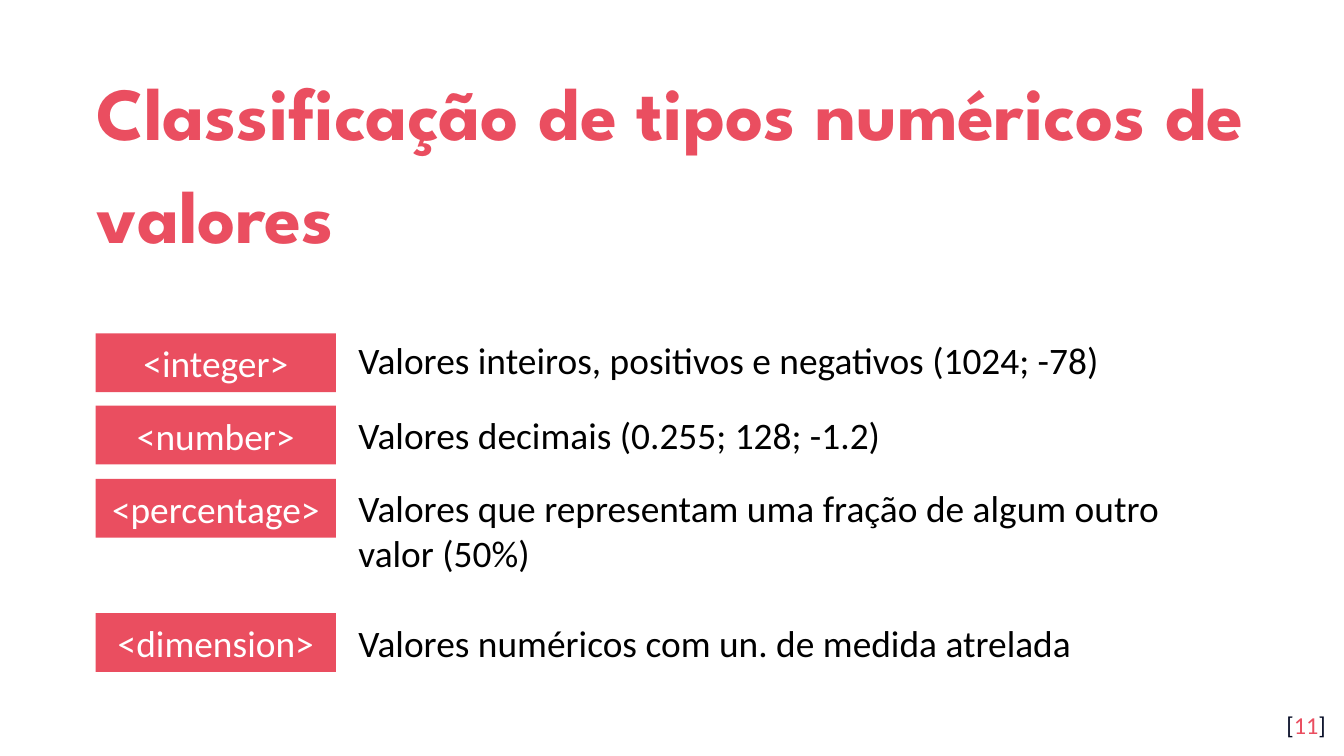
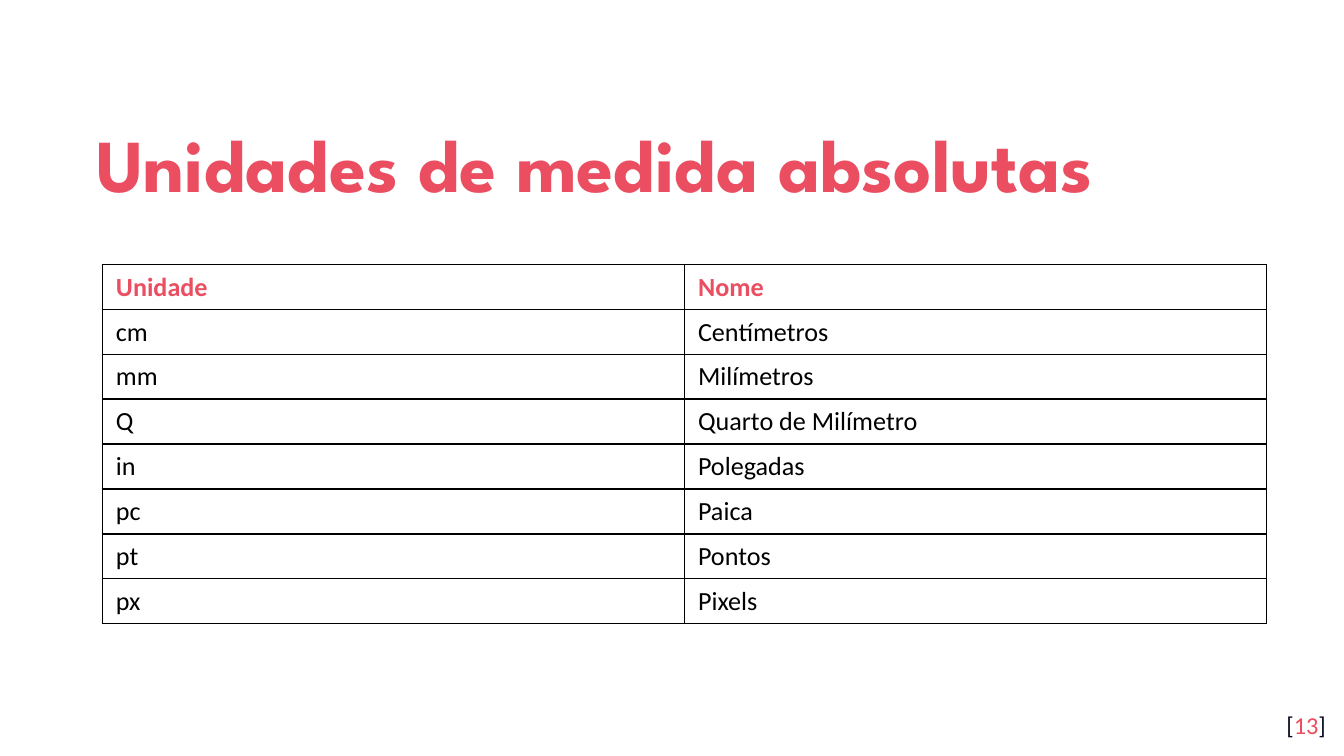
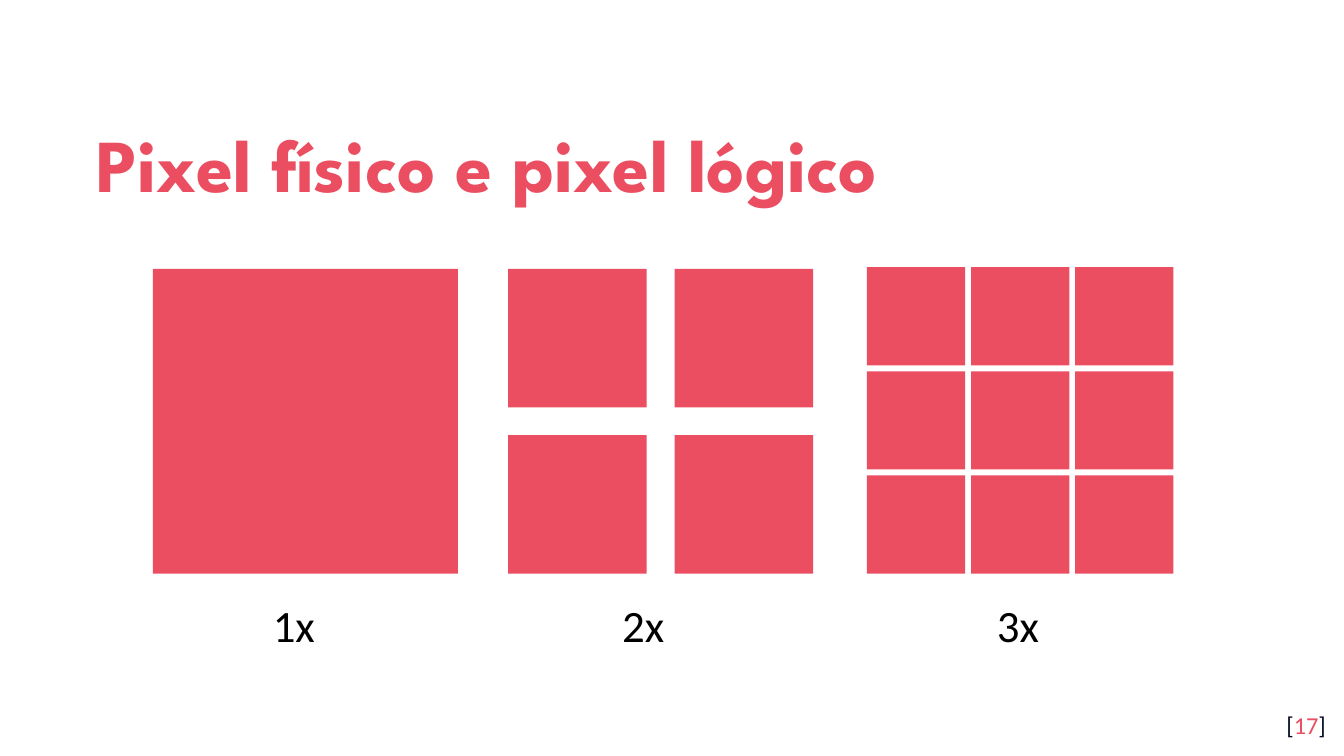
from lxml import etree
from pptx import Presentation
from pptx.dml.color import RGBColor
from pptx.enum.shapes import MSO_SHAPE
from pptx.enum.text import MSO_ANCHOR, MSO_AUTO_SIZE, PP_ALIGN
from pptx.oxml.ns import qn
from pptx.util import Pt

RECTANGLE = MSO_SHAPE.RECTANGLE
MIDDLE = MSO_ANCHOR.MIDDLE
TOP = MSO_ANCHOR.TOP
LEFT, CENTER, RIGHT = PP_ALIGN.LEFT, PP_ALIGN.CENTER, PP_ALIGN.RIGHT
GROW = MSO_AUTO_SIZE.SHAPE_TO_FIT_TEXT

PX = 5715  # EMU per px: the slide is 1600 by 900 px
INSET = 16 * PX
CORAL, NAVY, BLACK, WHITE = "EA4E60", "040A24", "000000", "FFFFFF"
TITLE_FONT, BODY_FONT = "League Spartan", "Calibri"
color = RGBColor.from_string


def add_block(slide, left, top, width, height):
    """Add a plain coral rectangle."""
    block = slide.shapes.add_shape(
        RECTANGLE, left * PX, top * PX, width * PX, height * PX)
    block.shadow.inherit = False
    block.fill.solid()
    block.fill.fore_color.rgb = color(CORAL)
    block.line.fill.background()
    return block


def write(shape, runs, size, font=BODY_FONT, bold=False, align=LEFT,
          anchor=TOP, inset=None, grow=False):
    """Fill a shape with one paragraph of (text, colour) runs."""
    frame = shape.text_frame
    frame.word_wrap = True
    frame.vertical_anchor = anchor
    if inset is not None:
        frame.margin_left = frame.margin_right = inset
        frame.margin_top = frame.margin_bottom = inset
    if grow:
        frame.auto_size = GROW
    paragraph = frame.paragraphs[0]
    paragraph.alignment = align
    paragraph.font.name = font
    paragraph.font.size = Pt(size)
    paragraph.font.bold = bold
    for text, run_color in runs:
        run = paragraph.add_run()
        run.text = text
        run.font.color.rgb = color(run_color)
    return paragraph


presentation = Presentation()
presentation.slide_width = 1600 * PX
presentation.slide_height = 900 * PX
blank_layout = presentation.slide_layouts[6]

# Title and page number of every slide
slides = []
for title, page in [
    ("Classificação de tipos numéricos de valores", "11"),
    ("Unidades de medida absolutas", "13"),
    ("Pixel físico e pixel lógico", "17"),
]:
    slide = presentation.slides.add_slide(blank_layout)
    title_box = slide.shapes.add_textbox(99 * PX, 112 * PX, 1403 * PX, 147 * PX)
    title_paragraph = write(title_box, [(title, CORAL)], 40, TITLE_FONT,
                            bold=True, anchor=MIDDLE, inset=INSET)
    title_paragraph.line_spacing = 1.15
    page_box = slide.shapes.add_textbox(1498 * PX, 830 * PX, 96 * PX, 69 * PX)
    write(page_box, [("[", NAVY), (page, CORAL), ("]", NAVY)], 13,
          align=RIGHT, inset=INSET)
    slides.append(slide)
types_slide, units_slide, pixels_slide = slides

# Numeric types: tag and description
for tag, description, tag_top, description_top, description_height in [
    ("<integer>", "Valores inteiros, positivos e negativos (1024; -78)", 397, 394, 70),
    ("<number>", "Valores decimais (0.255; 128; -1.2)", 483, 483, 70),
    ("<percentage>", "Valores que representam uma fração de algum outro valor (50%)",
     570, 570, 123),
    ("<dimension>", "Valores numéricos com un. de medida atrelada", 730, 730, 70),
]:
    tag_block = add_block(types_slide, 114, tag_top, 286, 70)
    write(tag_block, [(tag, WHITE)], 20, align=CENTER, anchor=MIDDLE, inset=INSET)
    description_box = types_slide.shapes.add_textbox(
        411 * PX, description_top * PX, 1058 * PX, description_height * PX)
    write(description_box, [(description, BLACK)], 20, grow=True)

# Absolute units
units = [
    ("Unidade", "Nome"),
    ("cm", "Centímetros"),
    ("mm", "Milímetros"),
    ("Q", "Quarto de Milímetro"),
    ("in", "Polegadas"),
    ("pc", "Paica"),
    ("pt", "Pontos"),
    ("px", "Pixels"),
]
row_height = 53
table = units_slide.shapes.add_table(
    len(units), 2, 122 * PX, 315 * PX, 1386 * PX, len(units) * row_height * PX).table
table.first_row = False
table.horz_banding = False
for row_index, row in enumerate(units):
    is_header = row_index == 0
    for column_index, text in enumerate(row):
        cell = table.cell(row_index, column_index)
        write(cell, [(text, CORAL if is_header else BLACK)], 14,
              bold=is_header, anchor=MIDDLE)
        properties = cell._tc.get_or_add_tcPr()
        for side in ("a:lnL", "a:lnR", "a:lnT", "a:lnB"):
            border = etree.SubElement(properties, qn(side), w=str(Pt(1)))
            border_fill = etree.SubElement(border, qn("a:solidFill"))
            etree.SubElement(border_fill, qn("a:srgbClr"), val=BLACK)
        cell.fill.background()

# One logical pixel as a grid of physical pixels
for density, left, top, size, pitch, caption_left in [
    (1, 182, 320, 363, 363, 309),
    (2, 605, 320, 165, 198, 725),
    (3, 1032, 318, 117, 124, 1171),
]:
    for row in range(density):
        for column in range(density):
            add_block(pixels_slide, left + column * pitch, top + row * pitch, size, size)
    caption_box = pixels_slide.shapes.add_textbox(
        caption_left * PX, 704 * PX, 91 * PX, 80 * PX)
    write(caption_box, [(f"{density}x", BLACK)], 24, grow=True)

presentation.save("out.pptx")
